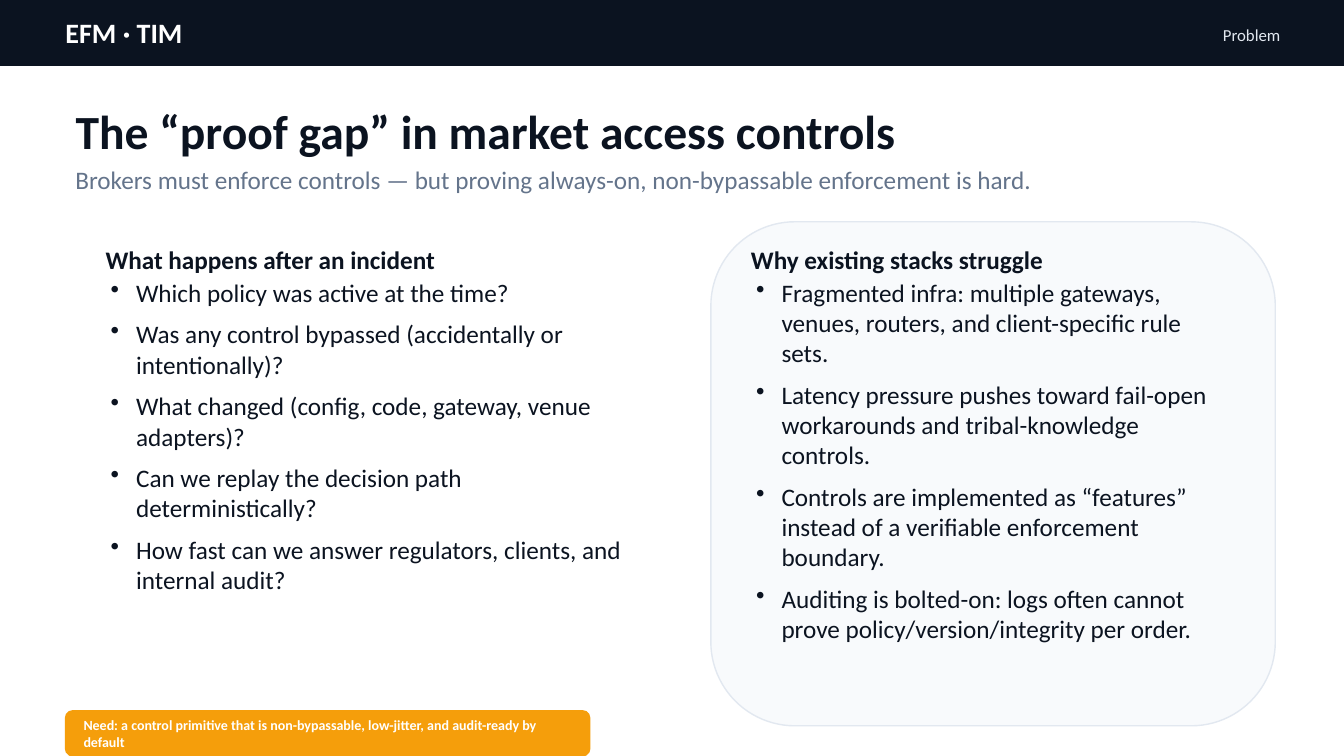
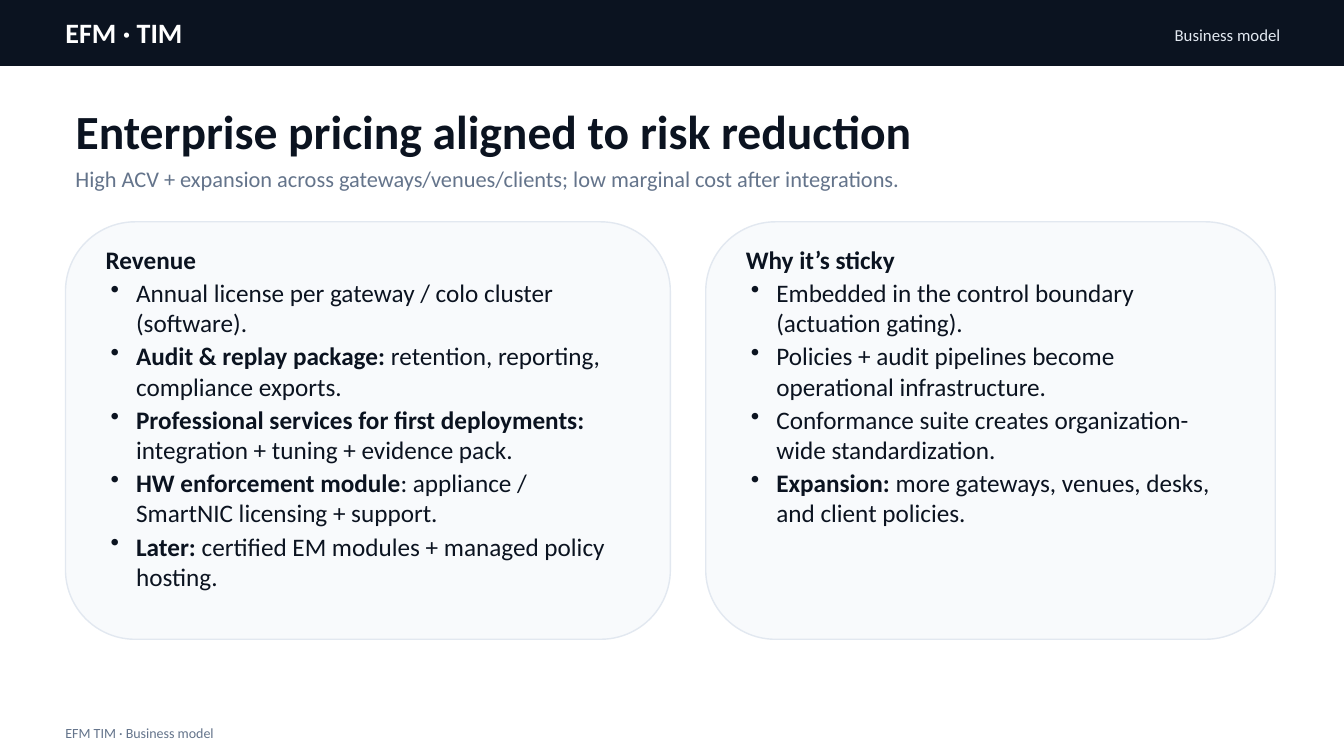
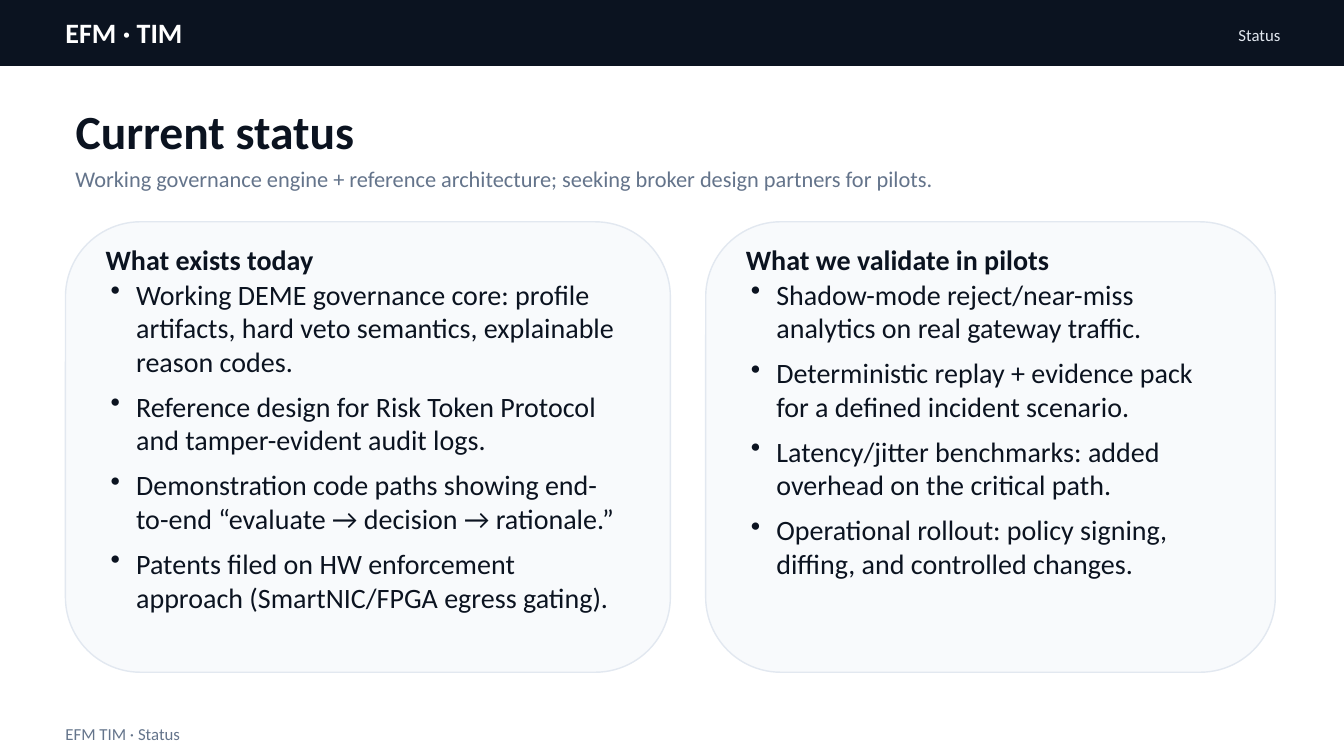
from typing import NamedTuple

from lxml.etree import SubElement
from pptx import Presentation
from pptx.dml.color import RGBColor
from pptx.enum.shapes import MSO_SHAPE
from pptx.enum.text import MSO_ANCHOR, MSO_AUTO_SIZE, PP_ALIGN
from pptx.oxml.ns import qn
from pptx.util import Cm, Pt

NAVY = RGBColor(0x0B, 0x13, 0x20)
WHITE = RGBColor(0xFF, 0xFF, 0xFF)
SLATE = RGBColor(0x64, 0x74, 0x8B)
MIST = RGBColor(0xE2, 0xE8, 0xF0)
PANEL = RGBColor(0xF8, 0xFA, 0xFC)
AMBER = RGBColor(0xF5, 0x9E, 0x0B)
FONT = "Calibri"
TITLE_ONLY = 5
BULLET_INDENT = Cm(0.64)


class Box(NamedTuple):
    left: int
    top: int
    width: int
    height: int


SLIDE_WIDTH, SLIDE_HEIGHT = Cm(33.86), Cm(19.05)
MARGIN = Cm(1.65)
CARD_TOP = Cm(5.59)
BAND = Box(0, 0, SLIDE_WIDTH, Cm(1.65))
TITLE = Box(MARGIN, Cm(2.41), Cm(30.56), Cm(1.78))
SUBTITLE = Box(MARGIN, Cm(3.94), Cm(30.56), Cm(1.14))
CALLOUT = Box(MARGIN, Cm(17.91), Cm(13.21), Cm(1.14))
FOOTER = Box(Cm(1.4), Cm(18.16), Cm(31.06), Cm(0.64))


def card_pair(height, left_width=Cm(15.24), right_left=Cm(17.78), right_width=Cm(14.35)):
    return (Box(MARGIN, CARD_TOP, left_width, height),
            Box(right_left, CARD_TOP, right_width, height))


def style(paragraph, size, color, bold=False):
    font = paragraph.font
    font.name, font.size, font.bold = FONT, Pt(size), bold
    font.color.rgb = color


def add_text(slide, box, text, size, color, bold=False, align=PP_ALIGN.LEFT):
    frame = slide.shapes.add_textbox(*box).text_frame
    frame.word_wrap = True
    frame.vertical_anchor = MSO_ANCHOR.MIDDLE
    paragraph = frame.paragraphs[0]
    paragraph.text = text
    paragraph.alignment = align
    style(paragraph, size, color, bold)


def add_panel(slide, preset, box, fill, line):
    shape = slide.shapes.add_shape(preset, *box)
    shape.shadow.inherit = False
    shape.fill.solid()
    shape.fill.fore_color.rgb = fill
    shape.line.color.rgb = line
    shape.line.width = Pt(1)
    return shape


def add_header(slide, box, section):
    add_panel(slide, MSO_SHAPE.RECTANGLE, box, NAVY, NAVY)
    brand = Box(box.left + Cm(1.4), box.top + Cm(0.38), Cm(24.13), Cm(0.89))
    add_text(slide, brand, "EFM · TIM", 20, WHITE, bold=True)
    width = Cm(6.86)
    label = Box(box.left + box.width - Cm(1.35) - width, box.top + Cm(0.51), width, Cm(0.76))
    add_text(slide, label, section, 12, MIST, align=PP_ALIGN.RIGHT)


def add_title(slide, box, text):
    title = slide.shapes.title
    title.left, title.top, title.width, title.height = box
    frame = title.text_frame
    frame.text = text
    frame.auto_size = MSO_AUTO_SIZE.NONE
    frame.vertical_anchor = MSO_ANCHOR.MIDDLE
    paragraph = frame.paragraphs[0]
    paragraph.alignment = PP_ALIGN.LEFT
    style(paragraph, 34, NAVY, bold=True)


def add_bullets(slide, box, items, size, space_before):
    """Each item is plain text or a (bold lead, plain rest) pair."""
    frame = slide.shapes.add_textbox(*box).text_frame
    frame.word_wrap = True
    for index, item in enumerate(items):
        paragraph = frame.add_paragraph() if index else frame.paragraphs[0]
        if index:
            paragraph.space_before = Pt(space_before)
        paragraph.space_after = Pt(2.1)
        properties = paragraph._p.get_or_add_pPr()
        properties.set("marL", str(BULLET_INDENT))
        properties.set("indent", str(-BULLET_INDENT))
        SubElement(properties, qn("a:buChar"), char="•")
        style(paragraph, size, NAVY)
        lead, rest = ("", item) if isinstance(item, str) else item
        if lead:
            run = paragraph.add_run()
            run.text = lead
            run.font.bold = True
        paragraph.add_run().text = rest


def add_card(slide, box, heading, items, size, space_before, framed=True):
    if framed:
        add_panel(slide, MSO_SHAPE.ROUNDED_RECTANGLE, box, PANEL, MIST)
    heading_box = Box(box.left + Cm(0.76), box.top + Cm(0.51), box.width - Cm(1.52), Cm(0.89))
    add_text(slide, heading_box, heading, size, NAVY, bold=True)
    body_box = Box(box.left + Cm(0.89), box.top + Cm(1.27), box.width - Cm(1.78), Cm(9.65))
    add_bullets(slide, body_box, items, size, space_before)


def add_callout(slide, box, text):
    frame = add_panel(slide, MSO_SHAPE.ROUNDED_RECTANGLE, box, AMBER, AMBER).text_frame
    frame.word_wrap = True
    frame.vertical_anchor = MSO_ANCHOR.MIDDLE
    frame.margin_left = frame.margin_right = Cm(0.4)
    frame.margin_top = frame.margin_bottom = 0
    paragraph = frame.paragraphs[0]
    paragraph.text = text
    paragraph.alignment = PP_ALIGN.LEFT
    style(paragraph, 10, WHITE, bold=True)


def add_base_slide(presentation, section, title, subtitle, subtitle_size=16):
    slide = presentation.slides.add_slide(presentation.slide_layouts[TITLE_ONLY])
    add_header(slide, BAND, section)
    add_title(slide, TITLE, title)
    add_text(slide, SUBTITLE, subtitle, subtitle_size, SLATE)
    return slide


def add_problem_slide(presentation):
    slide = add_base_slide(
        presentation, "Problem", "The “proof gap” in market access controls",
        "Brokers must enforce controls — but proving always-on, non-bypassable enforcement is hard.",
        subtitle_size=18)
    left, right = card_pair(Cm(12.7), Cm(15.75), Cm(17.91), Cm(14.22))
    add_card(slide, left, "What happens after an incident", [
        "Which policy was active at the time?",
        "Was any control bypassed (accidentally or intentionally)?",
        "What changed (config, code, gateway, venue adapters)?",
        "Can we replay the decision path deterministically?",
        "How fast can we answer regulators, clients, and internal audit?",
    ], 18, 6, framed=False)
    add_card(slide, right, "Why existing stacks struggle", [
        "Fragmented infra: multiple gateways, venues, routers, and client-specific rule sets.",
        "Latency pressure pushes toward fail-open workarounds and tribal-knowledge controls.",
        "Controls are implemented as “features” instead of a verifiable enforcement boundary.",
        "Auditing is bolted-on: logs often cannot prove policy/version/integrity per order.",
    ], 18, 6)
    add_callout(slide, CALLOUT, "Need: a control primitive that is non-bypassable, "
                                "low-jitter, and audit-ready by default")


def add_business_slide(presentation):
    slide = add_base_slide(
        presentation, "Business model", "Enterprise pricing aligned to risk reduction",
        "High ACV + expansion across gateways/venues/clients; low marginal cost after integrations.")
    left, right = card_pair(Cm(10.52))
    add_card(slide, left, "Revenue", [
        "Annual license per gateway / colo cluster (software).",
        ("Audit & replay package: ", "retention, reporting, compliance exports."),
        ("Professional services for first deployments: ", "integration + tuning + evidence pack."),
        ("HW enforcement module", ": appliance / SmartNIC licensing + support."),
        ("Later: ", "certified EM modules + managed policy hosting."),
    ], 18, 0)
    add_card(slide, right, "Why it’s sticky", [
        "Embedded in the control boundary (actuation gating).",
        "Policies + audit pipelines become operational infrastructure.",
        "Conformance suite creates organization-wide standardization.",
        ("Expansion: ", "more gateways, venues, desks, and client policies."),
    ], 18, 0)
    add_text(slide, FOOTER, "EFM TIM · Business model", 10, SLATE)


def add_status_slide(presentation):
    slide = add_base_slide(
        presentation, "Status", "Current status",
        "Working governance engine + reference architecture; "
        "seeking broker design partners for pilots.")
    left, right = card_pair(Cm(11.35))
    add_card(slide, left, "What exists today", [
        "Working DEME governance core: profile artifacts, hard veto semantics, "
        "explainable reason codes.",
        "Reference design for Risk Token Protocol and tamper-evident audit logs.",
        "Demonstration code paths showing end-to-end “evaluate → decision → rationale.”",
        "Patents filed on HW enforcement approach (SmartNIC/FPGA egress gating).",
    ], 20, 6)
    add_card(slide, right, "What we validate in pilots", [
        "Shadow-mode reject/near-miss analytics on real gateway traffic.",
        "Deterministic replay + evidence pack for a defined incident scenario.",
        "Latency/jitter benchmarks: added overhead on the critical path.",
        "Operational rollout: policy signing, diffing, and controlled changes.",
    ], 20, 6)
    add_text(slide, FOOTER, "EFM TIM · Status", 12, SLATE)


def main():
    presentation = Presentation()
    presentation.slide_width, presentation.slide_height = SLIDE_WIDTH, SLIDE_HEIGHT
    add_problem_slide(presentation)
    add_business_slide(presentation)
    add_status_slide(presentation)
    presentation.save("out.pptx")


if __name__ == "__main__":
    main()
